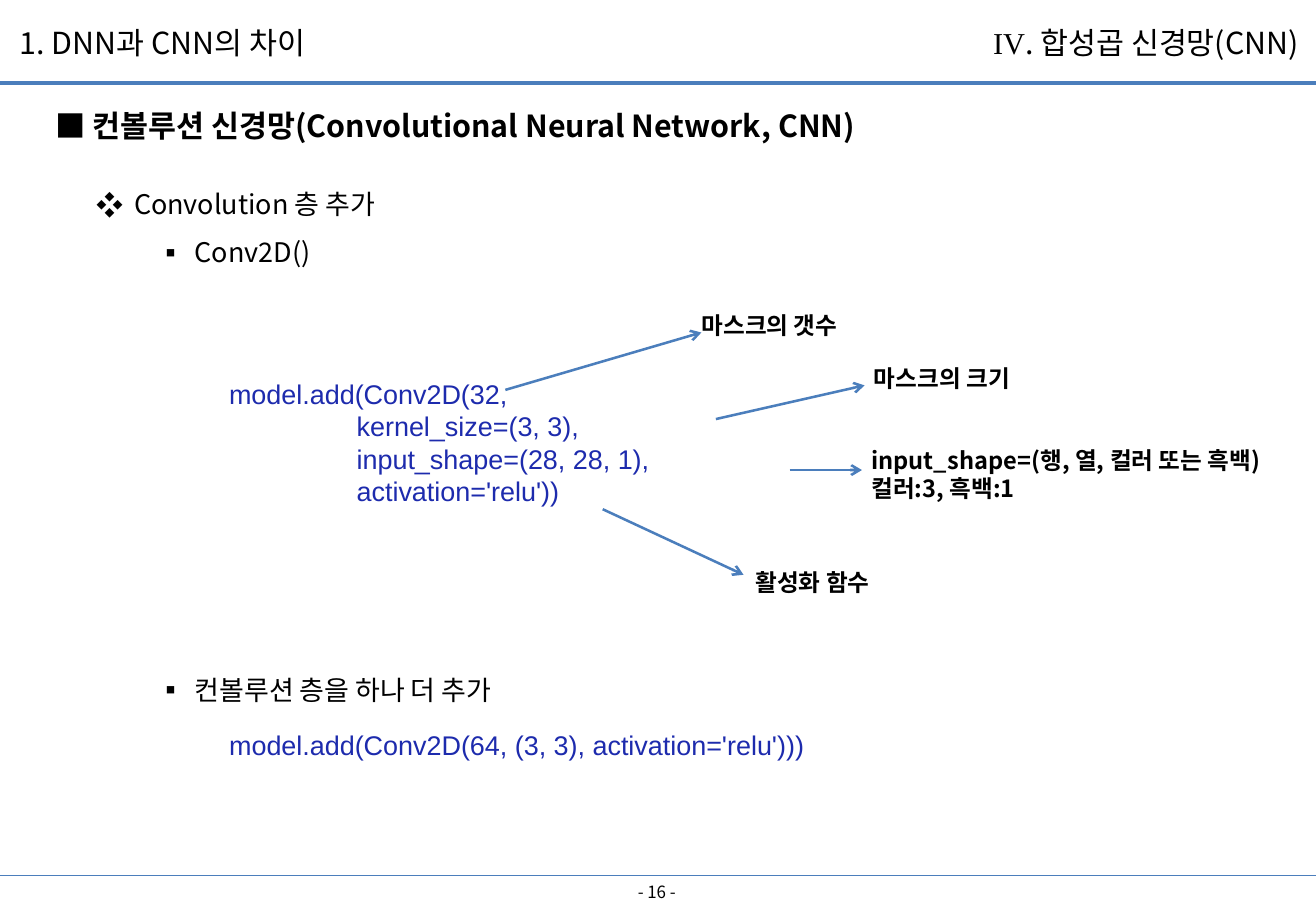
import pptx
import pptx.util
import pptx.dml.color
import pptx.enum.shapes
import pptx.enum.text
import pptx.oxml
import pptx.oxml.ns
from dataclasses import dataclass

WIDTH, HEIGHT = pptx.util.Inches(10.83), pptx.util.Inches(7.5)
ALIGN = pptx.enum.text.PP_ALIGN
ANCHOR = pptx.enum.text.MSO_ANCHOR


@dataclass(frozen=True)
class Theme:
    ink: str = "000000"
    code: str = "1D2BAD"
    rule: str = "4B7EBC"
    font: str = "Noto Sans CJK KR"
    code_font: str = "Arial"
    numeral_font: str = "Times New Roman"
    heading_size: int = 18
    body_size: int = 16
    label_size: int = 14
    footer_size: int = 10
    leading: float = 1.2  # line pitch as a multiple of the type size


THEME = Theme()


def across(percent):
    return round(WIDTH * percent / 100)


def down(percent):
    return round(HEIGHT * percent / 100)


def add_xml(parent, tag, **attributes):
    child = pptx.oxml.parse_xml(f"<a:{tag} {pptx.oxml.ns.nsdecls('a')}/>")
    for name, value in attributes.items():
        child.set(name, value)
    parent.append(child)


def style_run(run, size, color=THEME.ink, font=THEME.font, bold=False):
    run.font.size = pptx.util.Pt(size)
    run.font.bold = bold
    run.font.name = font
    run.font.color.rgb = pptx.dml.color.RGBColor.from_string(color)
    add_xml(run.font._element, "ea", typeface=font)


def fill_text(shape, area, text, size, align=ALIGN.LEFT, anchor=ANCHOR.TOP,
              spacing=1, **style):
    """Place a shape by slide percentages and set its text."""
    left, top, width, height = area
    shape.left, shape.top = across(left), down(top)
    shape.width, shape.height = across(width), down(height)
    frame = shape.text_frame
    frame.text = text
    frame.word_wrap = True
    frame.auto_size = pptx.enum.text.MSO_AUTO_SIZE.NONE
    frame.vertical_anchor = anchor
    for paragraph in frame.paragraphs:
        paragraph.alignment = align
        paragraph.line_spacing = pptx.util.Pt(size * THEME.leading * spacing)
        paragraph.space_before = pptx.util.Pt(0)
        for run in paragraph.runs:
            style_run(run, size, **style)
    return frame


def add_text(slide, area, text, size, **options):
    return fill_text(slide.shapes.add_textbox(0, 0, 0, 0), area, text, size, **options)


def add_code(slide, area, text):
    frame = add_text(slide, area, text, THEME.body_size,
                     color=THEME.code, font=THEME.code_font)
    for argument in frame.paragraphs[1:]:
        argument._p.get_or_add_pPr().set("marL", str(pptx.util.Inches(1.05)))


def add_line(slide, start, end, weight, arrow=False):
    line = slide.shapes.add_connector(
        pptx.enum.shapes.MSO_CONNECTOR.STRAIGHT,
        across(start[0]), down(start[1]), across(end[0]), down(end[1]))
    line.line.color.rgb = pptx.dml.color.RGBColor.from_string(THEME.rule)
    line.line.width = pptx.util.Pt(weight)
    if arrow:
        add_xml(line.line._get_or_add_ln(), "tailEnd", type="arrow")
    add_xml(line._element.spPr, "effectLst")


def set_bullet(paragraph, symbol, level, indent):
    paragraph.level = level
    properties = paragraph._p.get_or_add_pPr()
    properties.set("marL", str(pptx.util.Inches(indent)))
    properties.set("indent", str(pptx.util.Inches(-0.31)))
    add_xml(properties, "buFont", typeface=THEME.font)
    add_xml(properties, "buChar", char=symbol)


def add_frame(slide):
    # Header, rules and page number
    add_line(slide, (0, 9.1), (100, 9.1), 2.25)
    add_line(slide, (0, 96.1), (100, 96.1), 0.75)
    add_text(slide, (0.6, 2, 40, 5.3), "1. DNN과 CNN의 차이", THEME.heading_size)
    chapter = add_text(slide, (60, 2, 39.6, 5.3), "IV", THEME.heading_size,
                       align=ALIGN.RIGHT, font=THEME.numeral_font)
    chapter_name = chapter.paragraphs[0].add_run()
    chapter_name.text = ". 합성곱 신경망(CNN)"
    style_run(chapter_name, THEME.heading_size)
    add_text(slide, (38.2, 96.1, 23.4, 3.5), "- 16 -", THEME.footer_size,
             align=ALIGN.CENTER, anchor=ANCHOR.MIDDLE)


def add_outline(slide):
    # Heading and bulleted list
    fill_text(slide.shapes.title, (3.3, 9.1, 96.1, 6.7),
              "■ 컨볼루션 신경망(Convolutional Neural Network, CNN)",
              THEME.heading_size, spacing=1.5, bold=True)
    outline = fill_text(slide.placeholders[1], (6.4, 18.1, 88.7, 60.5),
                        "Convolution 층 추가\nConv2D()\n컨볼루션 층을 하나 더 추가",
                        THEME.body_size, spacing=1.5)
    topic, first_layer, second_layer = outline.paragraphs
    set_bullet(topic, "❖", 0, 0.31)
    set_bullet(first_layer, "▪", 1, 0.81)
    set_bullet(second_layer, "▪", 1, 0.81)
    # Room for the annotated code: eight lines of the list
    second_layer.space_before = pptx.util.Pt(8 * 1.5 * THEME.leading * THEME.body_size)


def add_annotated_code(slide):
    # Code samples
    add_code(slide, (16.5, 40.8, 44.3, 15.7),
             "model.add(Conv2D(32,\nkernel_size=(3, 3),\n"
             "input_shape=(28, 28, 1),\nactivation='relu'))")
    add_code(slide, (16.5, 79.3, 52.6, 4.9),
             "model.add(Conv2D(64, (3, 3), activation='relu')))")
    # Each argument: label, label corner, arrow start, arrow end
    arguments = [
        ("마스크의 갯수", (52.4, 33.5), (38.4, 42.8), (53.3, 36.5)),
        ("마스크의 크기", (65.5, 39.3), (54.4, 46), (65.7, 42.3)),
        ("input_shape=(행, 열, 컬러 또는 흑백)\n컬러:3, 흑백:1",
         (65.3, 48.3), (60, 51.6), (65.5, 51.6)),
        ("활성화 함수", (56.5, 61.7), (45.8, 55.9), (56.5, 63.1)),
    ]
    for label, corner, start, end in arguments:
        add_text(slide, (*corner, 33.4, 4.5 + 3.1 * label.count("\n")), label,
                 THEME.label_size, bold=True)
        add_line(slide, start, end, 1.5, arrow=True)


def main():
    deck = pptx.Presentation()
    deck.slide_width, deck.slide_height = WIDTH, HEIGHT
    slide = deck.slides.add_slide(deck.slide_layouts[1])
    add_frame(slide)
    add_outline(slide)
    add_annotated_code(slide)
    deck.save("out.pptx")


if __name__ == "__main__":
    main()
